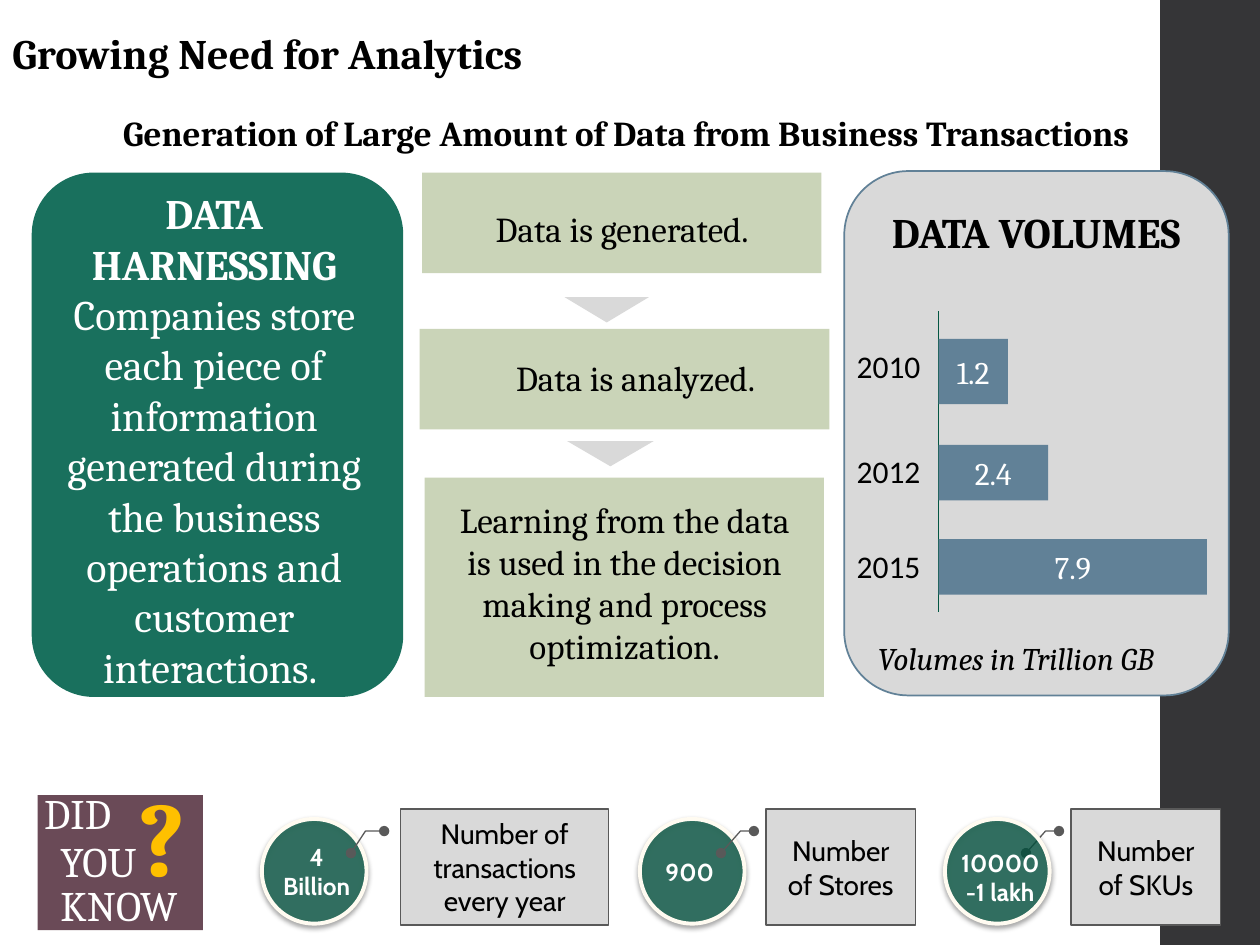
from dataclasses import dataclass

from lxml.etree import SubElement
from pptx import Presentation
from pptx.dml.color import RGBColor
from pptx.enum.shapes import MSO_CONNECTOR, MSO_SHAPE
from pptx.enum.text import MSO_ANCHOR, MSO_AUTO_SIZE, PP_ALIGN
from pptx.oxml.ns import qn
from pptx.util import Cm, Pt


@dataclass(frozen=True)
class Theme:
    black: str = "000000"
    white: str = "FFFFFF"
    band: str = "353537"
    green: str = "19705D"
    deep_green: str = "035642"
    sage: str = "CAD4B8"
    grey: str = "D9D9D9"
    outline: str = "595959"
    blue: str = "618197"
    plum: str = "6A4A57"
    gold: str = "FFC000"
    cream: str = "FFFBF1"
    serif: str = "Cambria"
    rounded: str = "Cabin"
    plain: str = "Calibri"
    heading: int = 24
    body: int = 20
    label: int = 18
    callout: int = 16
    badge: int = 14
    question: int = 60


THEME = Theme()


def write_text(frame, text, size=THEME.body, color=THEME.black, font=THEME.serif,
               bold=False, italic=False, align=PP_ALIGN.CENTER):
    frame.word_wrap = True
    for number, line in enumerate(text.split("\n")):
        paragraph = frame.add_paragraph() if number else frame.paragraphs[0]
        paragraph.alignment = align
        run = paragraph.add_run()
        run.text = line
        run.font.size = Pt(size)
        run.font.name = font
        run.font.bold = bold
        run.font.italic = italic
        run.font.color.rgb = RGBColor.from_string(color)


def add_text(slide, box, text, **text_format):
    frame = slide.shapes.add_textbox(*map(Cm, box)).text_frame
    frame.auto_size = MSO_AUTO_SIZE.SHAPE_TO_FIT_TEXT
    write_text(frame, text, **text_format)
    return frame


def add_block(slide, box, fill, kind=MSO_SHAPE.RECTANGLE, line=None, line_width=1):
    shape = slide.shapes.add_shape(kind, *map(Cm, box))
    shape.shadow.inherit = False
    shape.fill.solid()
    shape.fill.fore_color.rgb = RGBColor.from_string(fill)
    if line:
        shape.line.color.rgb = RGBColor.from_string(line)
        shape.line.width = Pt(line_width)
    else:
        shape.line.fill.background()
    shape.text_frame.vertical_anchor = MSO_ANCHOR.MIDDLE
    return shape


def add_circle(slide, left):
    circle = add_block(slide, (left, 16.51, 2.11, 2.11), THEME.deep_green,
                       MSO_SHAPE.OVAL, THEME.cream, 2.25)
    properties = circle._element.spPr
    fill_color = properties.find(qn("a:solidFill")).find(qn("a:srgbClr"))
    SubElement(fill_color, qn("a:alpha"), val="74000")
    shadow = SubElement(properties.find(qn("a:effectLst")), qn("a:outerShdw"),
                        blurRad=str(Pt(3.1)), dist=str(Pt(1.6)), dir="5400000",
                        algn="ctr", rotWithShape="0")
    shadow_color = SubElement(shadow, qn("a:srgbClr"), val=THEME.black)
    SubElement(shadow_color, qn("a:alpha"), val="38000")


def add_callout(slide, left, width, reach, text):
    callout = add_block(slide, (left, 16.31, width, 2.34), THEME.grey,
                        MSO_SHAPE.LINE_CALLOUT_2, THEME.outline, 0.75)
    for index, value in enumerate((0.19, -0.08, 0.19, -0.17, 0.38, reach)):
        callout.adjustments[index] = value
    line = callout._element.spPr.find(qn("a:ln"))
    for end in ("a:headEnd", "a:tailEnd"):
        SubElement(line, qn(end), type="oval")
    write_text(callout.text_frame, text, size=THEME.callout, font=THEME.rounded)


def add_axis(slide, x, top, bottom):
    axis = slide.shapes.add_connector(MSO_CONNECTOR.STRAIGHT,
                                      Cm(x), Cm(top), Cm(x), Cm(bottom))
    axis.line.color.rgb = RGBColor.from_string(THEME.deep_green)
    axis.line.width = Pt(0.75)
    SubElement(axis._element.spPr, qn("a:effectLst"))


def add_harnessing(slide):
    add_block(slide, (0.64, 3.48, 7.49, 10.57), THEME.green, MSO_SHAPE.ROUNDED_RECTANGLE)
    frame = add_text(slide, (0.79, 3.66, 7.06, 10.52),
                     "DATA HARNESSING\nCompanies store each piece of information generated "
                     "during the business operations and customer interactions. ",
                     size=THEME.heading, color=THEME.white)
    frame.paragraphs[0].runs[0].font.bold = True


def add_steps(slide):
    steps = (
        ((8.51, 3.48, 8.05, 2.03), (8.71, 4.06, 7.67, 1.12), "Data is generated."),
        ((8.46, 6.63, 8.26, 2.03), (8.89, 7.06, 7.85, 1.12), "Data is analyzed."),
        ((8.56, 9.63, 8.05, 4.42), (8.76, 9.93, 7.67, 3.68),
         "Learning from the data is used in the decision making and process optimization."),
    )
    for block, text_box, text in steps:
        add_block(slide, block, THEME.sage)
        add_text(slide, text_box, text)
    for box in ((11.38, 5.99, 1.7, 0.51), (11.43, 8.89, 1.75, 0.51)):
        add_block(slide, box, THEME.grey, MSO_SHAPE.ISOSCELES_TRIANGLE).rotation = 180


def add_volumes(slide):
    axis_x = 18.92
    add_block(slide, (17.02, 3.45, 7.75, 10.57), THEME.grey,
              MSO_SHAPE.ROUNDED_RECTANGLE, THEME.blue)
    add_text(slide, (17.45, 4.04, 6.88, 1.3), "DATA VOLUMES", size=THEME.heading, bold=True)
    add_axis(slide, axis_x, 6.27, 12.34)
    bars = (
        ("2010", "1.2", 6.88, 6.83, 1.4, 1.32),
        ("2012", "2.4", 8.99, 8.97, 2.21, 1.12),
        ("2015", "7.9", 10.9, 10.87, 5.41, 1.12),
    )
    for year, volume, label_top, top, width, height in bars:
        bar = add_block(slide, (axis_x, top, width, height), THEME.blue)
        write_text(bar.text_frame, volume, size=THEME.label, color=THEME.white)
        add_text(slide, (17.02, label_top, 1.9, 1.02), year, size=THEME.label,
                 font=THEME.plain, align=PP_ALIGN.LEFT)
    add_text(slide, (17.45, 12.75, 6.99, 1.02), "Volumes in Trillion GB",
             size=THEME.label, italic=True, align=PP_ALIGN.LEFT)


def add_did_you_know(slide):
    add_block(slide, (0.76, 16.03, 3.33, 2.72), THEME.plum)
    words = (
        ("DID", (0.64, 15.75, 2.67, 1.3)),
        ("YOU", (0.97, 16.71, 2.67, 1.3)),
        ("KNOW", (0.97, 17.6, 4.65, 1.3)),
    )
    for word, box in words:
        add_text(slide, box, word, size=THEME.heading, color=THEME.white, align=PP_ALIGN.LEFT)
    add_text(slide, (2.54, 15.42, 2.31, 2.82), "?", size=THEME.question,
             color=THEME.gold, bold=True, align=PP_ALIGN.LEFT)


def add_fact(slide, circle_left, figure, figure_box, callout, circle_in_front=False):
    if circle_in_front:
        add_callout(slide, *callout)
    add_circle(slide, circle_left)
    add_text(slide, figure_box, figure, size=THEME.badge, color=THEME.white,
             font=THEME.rounded, bold=True)
    if not circle_in_front:
        add_callout(slide, *callout)


def main():
    presentation = Presentation()
    presentation.slide_width, presentation.slide_height = Cm(25.4), Cm(19.05)
    slide = presentation.slides.add_slide(presentation.slide_layouts[6])
    add_block(slide, (23.39, 0, 2.01, 19.05), THEME.band)
    add_text(slide, (0, 0.43, 19.69, 1.27), "Growing Need for Analytics",
             size=THEME.heading, bold=True, align=PP_ALIGN.LEFT)
    add_harnessing(slide)
    add_steps(slide)
    add_volumes(slide)
    add_did_you_know(slide)
    add_text(slide, (0.64, 2.13, 23.98, 1.12),
             "Generation of Large Amount of Data from Business Transactions", bold=True)
    add_fact(slide, 5.28, "4 Billion", (5.38, 16.84, 2.01, 1.45),
             (8.08, 4.19, -0.24, "Number of transactions every year"))
    add_fact(slide, 12.9, "900", (12.9, 17.15, 2.01, 0.86),
             (15.44, 3.02, -0.3, "Number of Stores"))
    add_fact(slide, 19.05, "10000 \n-1 lakh ", (18.85, 16.97, 2.74, 1.45),
             (21.59, 3.02, -0.3, "Number of SKUs"), circle_in_front=True)
    presentation.save("out.pptx")


if __name__ == "__main__":
    main()
